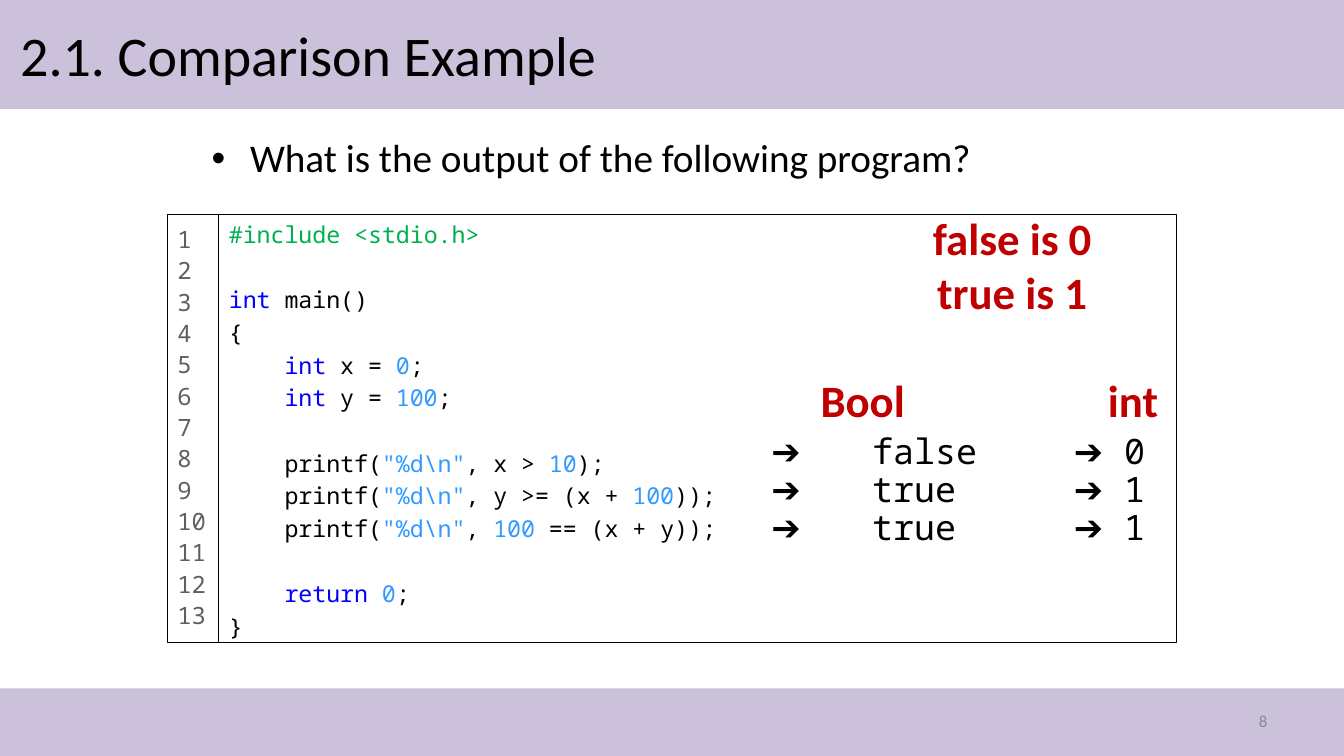
from lxml import etree
from pptx import Presentation
from pptx.dml.color import RGBColor
from pptx.enum.shapes import MSO_SHAPE as Preset
from pptx.enum.text import MSO_ANCHOR as Anchor, MSO_AUTO_SIZE as AutoSize, PP_ALIGN as Align
from pptx.oxml.ns import qn
from pptx.util import Inches, Pt

# Content
TITLE = "2.1. Comparison Example"
QUESTION = "What is the output of the following program?"
PAGE = "8"
TAB = "    "
FORMAT = ('"%d\\n"', "literal")
CODE = [
    [("#include <stdio.h>", "directive")],
    [],
    [("int ", "keyword"), ("main()", "black")],
    [("{", "black")],
    [(TAB, "black"), ("int ", "keyword"), ("x = ", "black"), ("0", "literal"), (";", "black")],
    [(TAB, "black"), ("int ", "keyword"), ("y = ", "black"), ("100", "literal"), (";", "black")],
    [(TAB, "black")],
    [(TAB + "printf(", "black"), FORMAT, (", x > ", "black"), ("10", "literal"), (");", "black")],
    [(TAB + "printf(", "black"), FORMAT, (", y >= (x + ", "black"), ("100", "literal"),
     ("));", "black")],
    [(TAB + "printf(", "black"), FORMAT, (", ", "black"), ("100 ", "literal"),
     ("== (x + y));", "black")],
    [(TAB, "black")],
    [(TAB, "black"), ("return ", "keyword"), ("0", "literal"), (";", "black")],
    [("}", "black")],
]
RESULTS = [("false", "0"), ("true", "1"), ("true", "1")]
RULES = ["false is 0", "true is 1"]
HEADINGS = ["Bool", "int"]

# Style
COLORS = {"band": "CCC1DA", "white": "FFFFFF", "black": "000000", "directive": "00B050",
          "keyword": "0000FF", "literal": "3399FF", "number": "5F5F5F",
          "page": "8C8C8C", "answer": "C00000"}
SANS, MONO = "Calibri", "Noto Sans Mono"
WIDTH, HEIGHT = 13.33, 7.5
LISTING_TOP, LISTING_HEIGHT = 2.13, 4.24
NUMBERS_LEFT, NUMBERS_WIDTH, CODE_WIDTH = 1.66, 0.51, 9.5
CODE_LEFT = NUMBERS_LEFT + NUMBERS_WIDTH


def color(name):
    return RGBColor.from_string(COLORS[name])


def place(shape, left, top, width, height):
    shape.left, shape.top = Inches(left), Inches(top)
    shape.width, shape.height = Inches(width), Inches(height)


def outline(shape):
    shape.line.color.rgb = color("black")
    shape.line.width = Pt(0.75)


def prepare(shape, anchor=Anchor.TOP, left=0.1, top=0.05, right=0.1):
    frame = shape.text_frame
    frame.auto_size, frame.word_wrap = AutoSize.NONE, True
    frame.vertical_anchor = anchor
    frame.margin_left, frame.margin_top = Inches(left), Inches(top)
    frame.margin_right, frame.margin_bottom = Inches(right), Inches(0.05)
    return frame


def write(frame, lines, size, font, fill="black", align=Align.LEFT, spacing=None, bold=False):
    """Fill a frame; a line is a string or a list of (text, colour) parts."""
    for index, line in enumerate(lines):
        paragraph = frame.paragraphs[0] if index == 0 else frame.add_paragraph()
        paragraph.alignment, paragraph.line_spacing = align, spacing
        paragraph.space_before = Pt(0)
        for text, name in [(line, fill)] if isinstance(line, str) else line:
            run = paragraph.add_run()
            run.text = text
            run.font.size, run.font.name, run.font.bold = Pt(size), font, bold
            run.font.color.rgb = color(name)


def set_indent(paragraph, margin, bullet=None):
    properties = paragraph._p.get_or_add_pPr()
    properties.set("marL", str(Inches(margin)))
    properties.set("indent", str(-Inches(margin)))
    if bullet:
        etree.SubElement(properties, qn("a:buFont")).set("typeface", "Arial")
        etree.SubElement(properties, qn("a:buChar")).set("char", bullet)
    else:
        etree.SubElement(properties, qn("a:buNone"))


def set_tabs(paragraph, stops):
    tab_list = etree.SubElement(paragraph._p.get_or_add_pPr(), qn("a:tabLst"))
    for stop in stops:
        tab = etree.SubElement(tab_list, qn("a:tab"))
        tab.set("pos", str(Inches(stop)))
        tab.set("algn", "l")


def add_box(bounds, **options):
    return prepare(slide.shapes.add_textbox(*map(Inches, bounds)), **options)


def add_rectangle(bounds, fill):
    shape = slide.shapes.add_shape(Preset.RECTANGLE, *map(Inches, bounds))
    shape.shadow.inherit = False
    shape.fill.solid()
    shape.fill.fore_color.rgb = color(fill)
    shape.line.fill.background()
    return shape


presentation = Presentation()
presentation.slide_width, presentation.slide_height = Inches(WIDTH), Inches(HEIGHT)
slide = presentation.slides.add_slide(presentation.slide_layouts[3])
title, code, question = list(slide.placeholders)[:3]

# Bands behind everything
for top, height in [(0, 1.08), (6.83, 0.67)]:
    band = add_rectangle((0, top, WIDTH, height), "band")
    slide.shapes._spTree.insert(2, band._element)

# Title and question
place(title, 0.1, 0.08, 12, 0.92)
write(prepare(title, Anchor.MIDDLE), [TITLE], 40, SANS)
place(question, 2, 1.33, 9.42, 0.7)
frame = prepare(question)
write(frame, [QUESTION], 28, SANS, spacing=0.9)
set_indent(frame.paragraphs[0], 0.38, "•")

# Program listing with line numbers
place(code, CODE_LEFT, LISTING_TOP, CODE_WIDTH, LISTING_HEIGHT)
outline(code)
frame = prepare(code, top=0.01)
write(frame, CODE, 16.6, MONO, spacing=Pt(23.3))
for paragraph in frame.paragraphs:
    set_indent(paragraph, 0)

numbers = add_rectangle((NUMBERS_LEFT, LISTING_TOP, NUMBERS_WIDTH, LISTING_HEIGHT), "white")
outline(numbers)
write(prepare(numbers, top=0.07, right=0), [str(n + 1) for n in range(len(CODE))],
      17, MONO, "number", spacing=Pt(22.4))

# Results of each comparison
frame = add_box((7.05, 4.25, 4.71, 1.24), left=0.6)
write(frame, [f"➔\t{truth}\t➔\t{value}" for truth, value in RESULTS],
      25, MONO, spacing=Pt(27.1))
for paragraph in frame.paragraphs:
    set_tabs(paragraph, [1, 3, 3.5])

# Rules and column headings
frame = add_box((8.04, 2.04, 4, 2.26))
write(frame, RULES + ["\t".join(HEADINGS)], 32, SANS, "answer", Align.CENTER, bold=True)
headings = frame.paragraphs[-1]
headings.alignment, headings.space_before = Align.LEFT, Pt(39)
set_tabs(headings, [2.85])

# Page number
write(add_box((9.56, 6.95, 3.11, 0.4), anchor=Anchor.MIDDLE), [PAGE], 12, SANS, "page", Align.RIGHT)

presentation.save("out.pptx")
